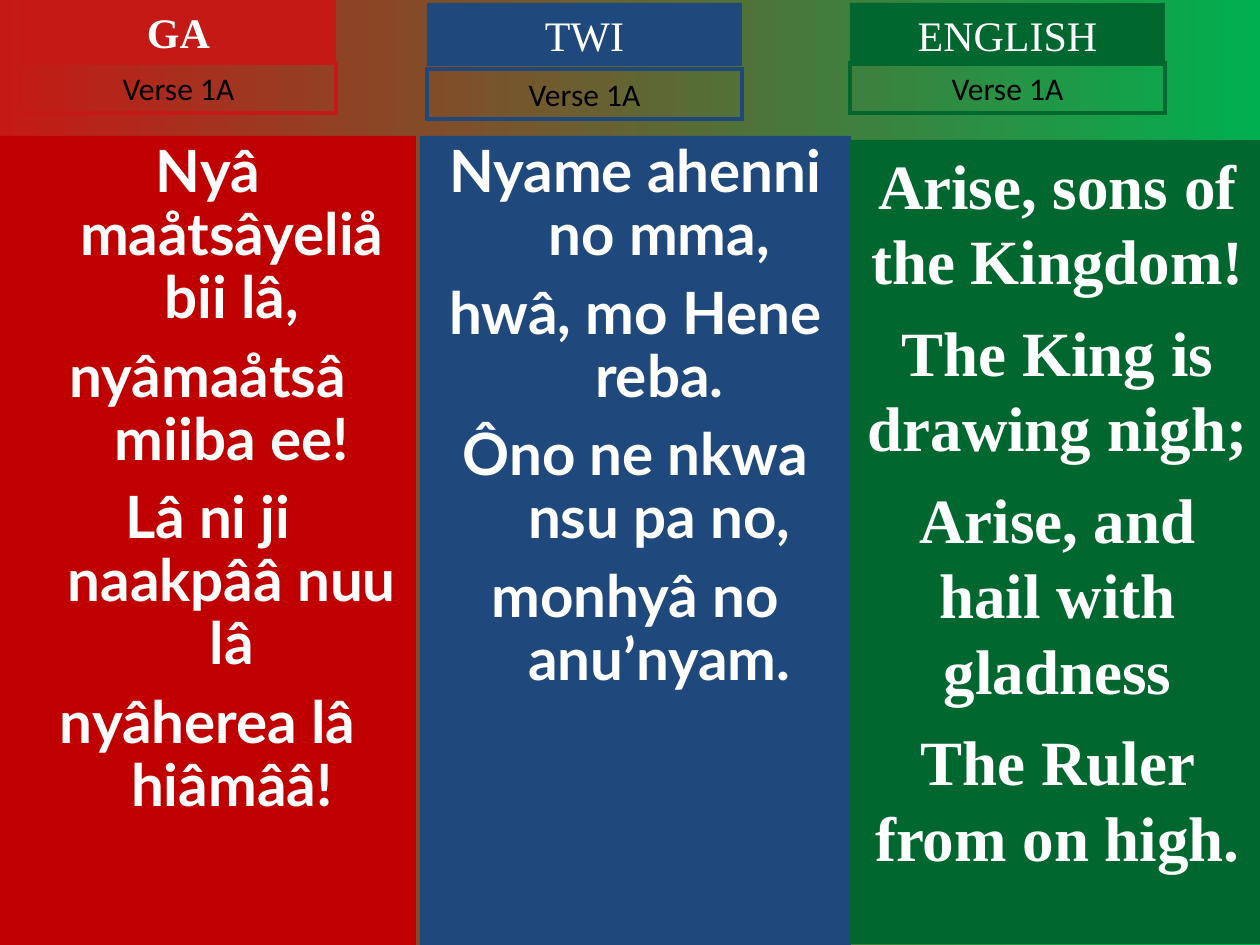
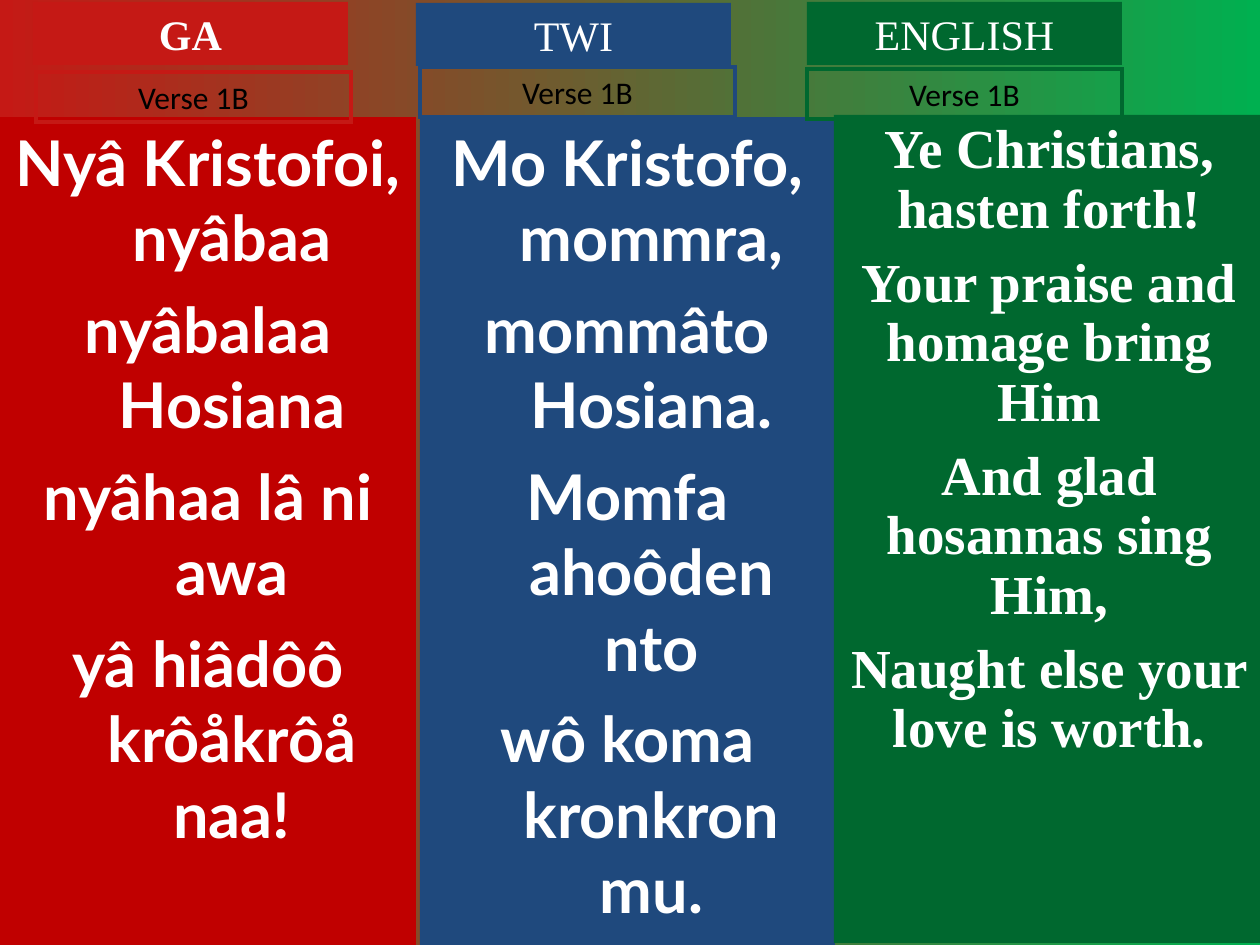
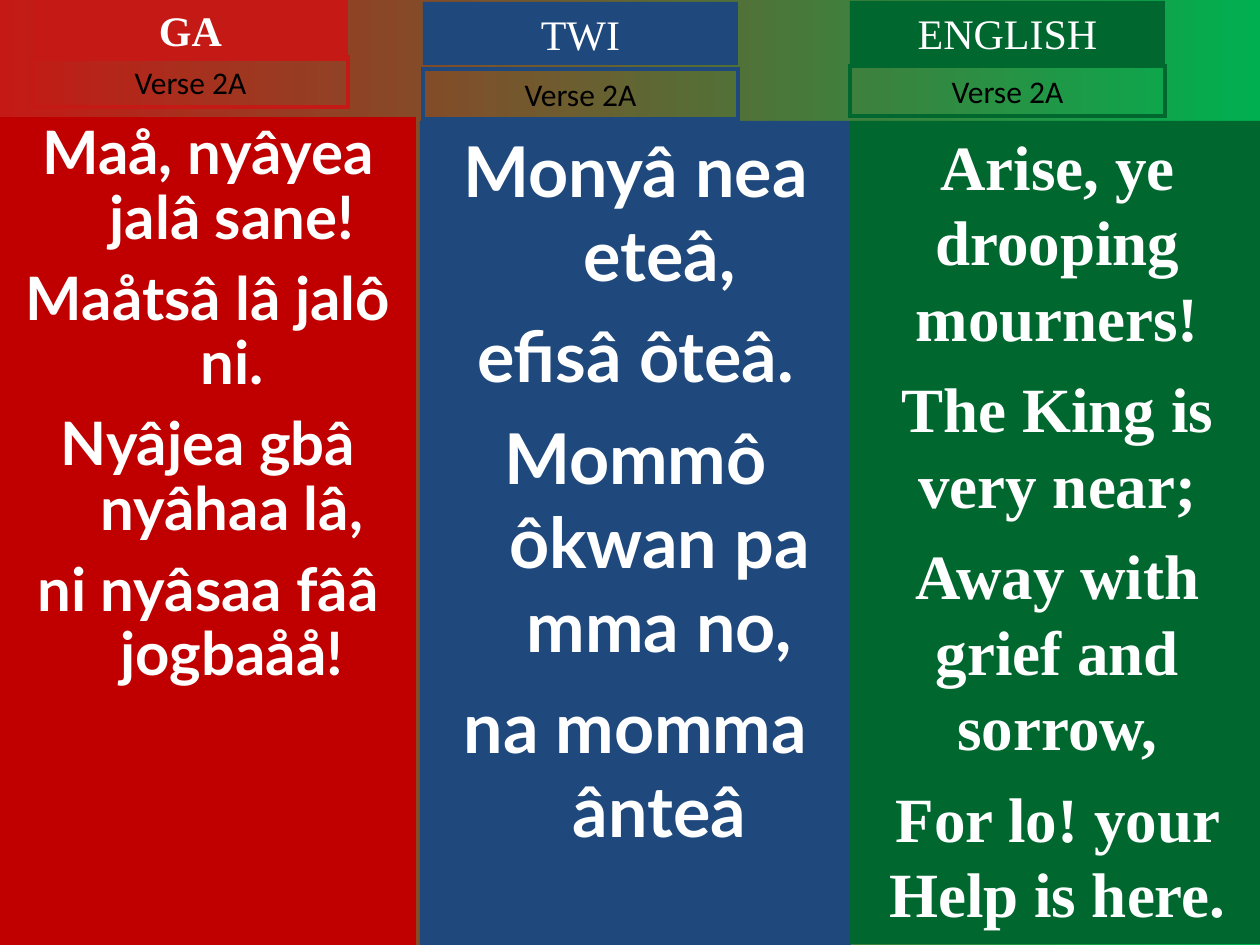
from dataclasses import dataclass

from lxml import etree
from pptx import Presentation
from pptx import util as u
from pptx.dml.color import RGBColor
from pptx.enum import shapes, text
from pptx.oxml.ns import qn

PX = 914400 / 126
SLIDE_W, SLIDE_H = 1260, 945
HEAD_W, HEAD_H, LABEL_H = 315, 63, 50
INDENT = 48

COLORS = {
    "red": "C51915",
    "deep_red": "C00000",
    "blue": "1F497D",
    "green": "00682F",
    "bright_green": "00B050",
    "white": "FFFFFF",
    "black": "000000",
}


@dataclass(frozen=True)
class Language:
    """Look shared by every column of one language."""
    name: str
    body: str
    accent: str
    font: str
    indent: int = 0
    bold_head: bool = False


@dataclass(frozen=True)
class Column:
    """Places and verse lines of one language on one slide."""
    lang: Language
    body: tuple[int, int, int, int]
    head: tuple[int, int]
    label: tuple[int, int]
    size: float
    before: float
    spacing: float
    lines: tuple[str, ...]


@dataclass(frozen=True)
class Verse:
    """One slide: a verse in three languages."""
    title: str
    columns: tuple[Column, ...]


GA = Language("GA", "deep_red", "red", "Lato", INDENT, True)
TWI = Language("TWI", "blue", "blue", "Lato", INDENT)
ENGLISH = Language("ENGLISH", "green", "green", "Times New Roman")

VERSES = (
    Verse("Verse 1A", (
        Column(GA, (0, 136, 416, 809), (21, 0), (21, 63), 33.3, 9, 0.9, (
            "Nyâ maåtsâyeliå bii lâ,",
            "nyâmaåtsâ miiba ee!",
            "Lâ ni ji naakpââ nuu lâ",
            "nyâherea lâ hiâmââ!")),
        Column(TWI, (420, 136, 431, 809), (427, 3), (427, 69), 33.3, 9, 0.9, (
            "Nyame ahenni no mma,",
            "hwâ, mo Hene reba.",
            "Ôno ne nkwa nsu pa no,",
            "monhyâ no anu’nyam.")),
        Column(ENGLISH, (850, 140, 415, 804), (850, 3), (850, 63), 36, 9, 1, (
            "Arise, sons of the Kingdom!",
            "The King is drawing nigh;",
            "Arise, and hail with gladness",
            "The Ruler from on high.")),
    )),
    Verse("Verse 1B", (
        Column(GA, (0, 117, 416, 828), (33, 2), (36, 72), 36, 9, 1, (
            "Nyâ Kristofoi, nyâbaa",
            "nyâbalaa Hosiana",
            "nyâhaa lâ ni awa",
            "yâ hiâdôô krôåkrôå naa!")),
        Column(TWI, (420, 117, 415, 828), (416, 3), (420, 67), 36, 9, 1, (
            "Mo Kristofo, mommra,",
            "mommâto Hosiana.",
            "Momfa ahoôden nto",
            "wô koma kronkron mu.")),
        Column(ENGLISH, (834, 115, 431, 828), (807, 2), (807, 69), 31.4, 8.5, 0.9, (
            "Ye Christians, hasten forth!",
            "Your praise and homage bring Him",
            "And glad hosannas sing Him,",
            "Naught else your love is worth.")),
    )),
    Verse("Verse 2A", (
        Column(GA, (0, 117, 416, 828), (33, -2), (33, 57), 34.2, 9.2, 0.9, (
            "Maå, nyâyea jalâ sane!",
            "Maåtsâ lâ jalô ni.",
            "Nyâjea gbâ nyâhaa lâ,",
            "ni nyâsaa fââ jogbaåå!")),
        Column(TWI, (420, 121, 431, 824), (423, 2), (423, 69), 40, 10, 1, (
            "Monyâ nea eteâ,",
            "efisâ ôteâ.",
            "Mommô ôkwan pa mma no,",
            "na momma ânteâ")),
        Column(ENGLISH, (850, 121, 415, 823), (850, 1), (850, 66), 36, 9, 1, (
            "Arise, ye drooping mourners!",
            "The King is very near;",
            "Away with grief and sorrow,",
            "For lo! your Help is here.")),
    )),
)


def px(n: float) -> int:
    """Turn pixels into EMU."""
    return round(n * PX)


def rgb(name: str) -> RGBColor:
    """Look up a named colour."""
    return RGBColor.from_string(COLORS[name])


def add_box(s, x: int, y: int, w: int, h: int, fill: str = "", line: str = ""):
    """Add a plain rectangle with an optional fill and square-cornered outline."""
    sp = s.shapes.add_shape(shapes.MSO_SHAPE.RECTANGLE, px(x), px(y), px(w), px(h))
    sp.shadow.inherit = False
    if fill:
        sp.fill.solid()
        sp.fill.fore_color.rgb = rgb(fill)
    else:
        sp.fill.background()
    if line:
        sp.line.color.rgb = rgb(line)
        sp.line.width = u.Pt(2.25)
        ln = sp.element.spPr.find(qn("a:ln"))
        etree.SubElement(ln, qn("a:miter"), lim="800000")
    else:
        sp.line.fill.background()
    return sp


def write(sp, *lines: str, size: float, font: str, color: str = "white",
          bold: bool = False, before: float = 0, spacing: float = 1,
          indent: int = 0, grow: bool = False) -> None:
    """Write centred paragraphs into a shape."""
    tf = sp.text_frame
    tf.word_wrap = True
    tf.vertical_anchor = text.MSO_ANCHOR.TOP
    tf.auto_size = (text.MSO_AUTO_SIZE.SHAPE_TO_FIT_TEXT if grow
                    else text.MSO_AUTO_SIZE.NONE)
    for i, line in enumerate(lines):
        p = tf.add_paragraph() if i else tf.paragraphs[0]
        p.alignment = text.PP_ALIGN.CENTER
        p.line_spacing = spacing
        p.space_before = u.Pt(before if i else 0)
        if indent:
            pPr = p._p.get_or_add_pPr()
            pPr.set("marL", str(px(indent)))
            pPr.set("indent", str(-px(indent)))
        r = p.add_run()
        r.text = line
        r.font.size = u.Pt(size)
        r.font.name = font
        r.font.bold = bold
        r.font.color.rgb = rgb(color)


def add_column(s, col: Column, title: str) -> None:
    """Draw a language's verse panel, heading and verse label."""
    lang = col.lang
    write(add_box(s, *col.body, fill=lang.body), *col.lines, size=col.size,
          font=lang.font, bold=True, before=col.before, spacing=col.spacing,
          indent=lang.indent)
    write(add_box(s, *col.head, HEAD_W, HEAD_H, fill=lang.accent), lang.name,
          size=24, font="Times New Roman", bold=lang.bold_head, grow=True)
    write(add_box(s, *col.label, HEAD_W, LABEL_H, line=lang.accent), title,
          size=18, font="Calibri", color="black", grow=True)


def paint_background(s) -> None:
    """Fill the slide with the red to green gradient."""
    fill = s.background.fill
    fill.gradient()
    fill.gradient_angle = 0
    for stop, position, color in zip(fill.gradient_stops, (0, 1), ("red", "bright_green")):
        stop.position = position
        stop.color.rgb = rgb(color)


def main() -> None:
    """Build the hymn slides."""
    prs = Presentation()
    prs.slide_width, prs.slide_height = px(SLIDE_W), px(SLIDE_H)
    for verse in VERSES:
        s = prs.slides.add_slide(prs.slide_layouts[6])
        paint_background(s)
        for col in verse.columns:
            add_column(s, col, verse.title)
    prs.save("out.pptx")


if __name__ == "__main__":
    main()
